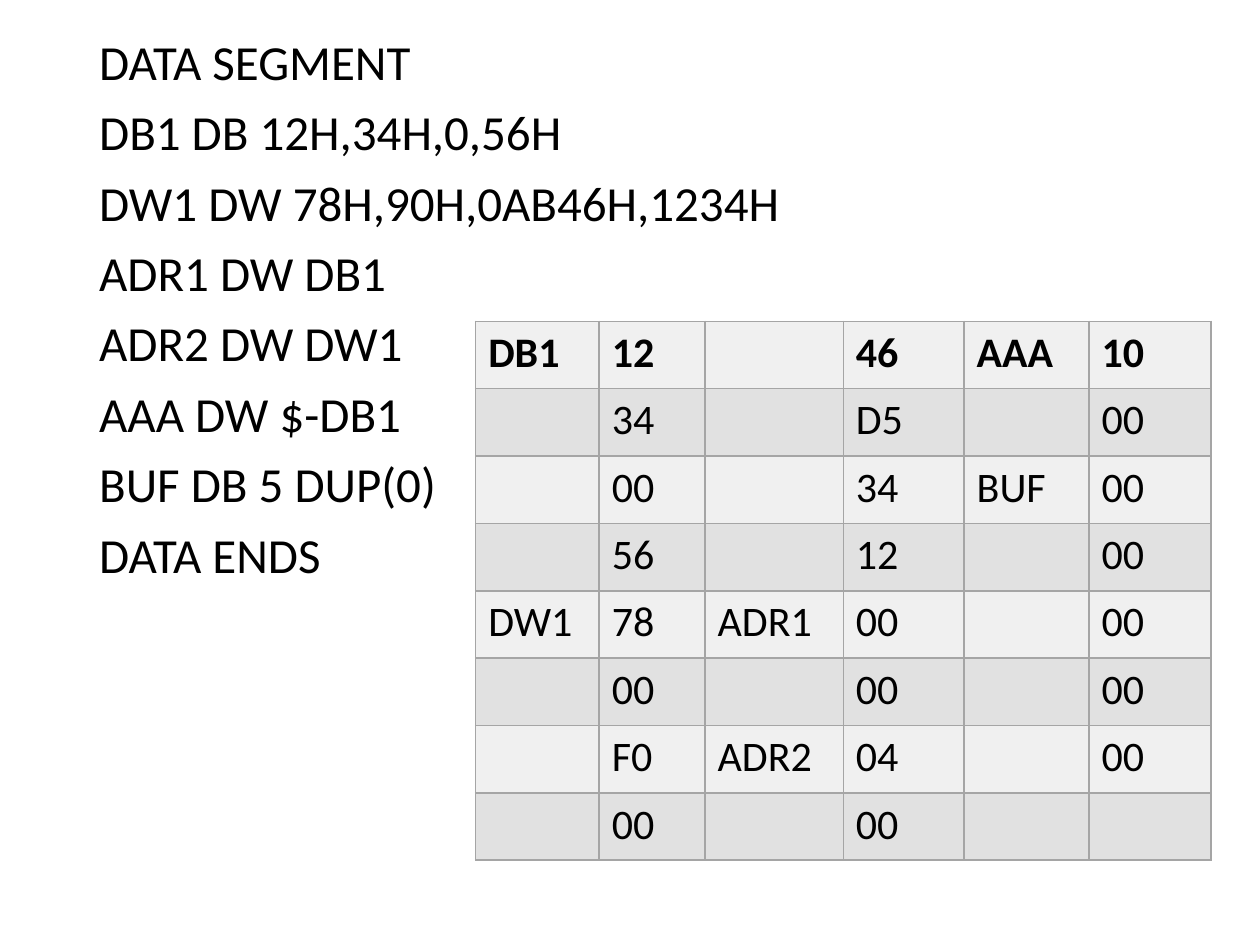
from lxml import etree
from pptx import Presentation
from pptx.dml.color import RGBColor
from pptx.enum.text import MSO_ANCHOR, MSO_AUTO_SIZE
from pptx.oxml.ns import qn
from pptx.util import Pt

TOP = MSO_ANCHOR.TOP
NO_AUTOFIT = MSO_AUTO_SIZE.NONE

# Content
CODE_LINES = [
    "DATA SEGMENT",
    "DB1 DB 12H,34H,0,56H",
    "DW1 DW 78H,90H,0AB46H,1234H",
    "ADR1 DW DB1",
    "ADR2 DW DW1",
    "AAA DW $-DB1",
    "BUF DB 5 DUP(0)",
    "DATA ENDS",
]
MEMORY_ROWS = [
    ("DB1", "12", "", "46", "AAA", "10"),
    ("", "34", "", "D5", "", "00"),
    ("", "00", "", "34", "BUF", "00"),
    ("", "56", "", "12", "", "00"),
    ("DW1", "78", "ADR1", "00", "", "00"),
    ("", "00", "", "00", "", "00"),
    ("", "F0", "ADR2", "04", "", "00"),
    ("", "00", "", "00", "", ""),
]

# Layout, in points
SLIDE_SIZE = (720, 540)
CODE_AREA = (49.5, 18, 621, 502)
TABLE_CORNER = (271.8, 183.6)
COLUMN_WIDTHS = (70.6, 60.5, 79, 69.1, 71.4, 69.8)
ROW_HEIGHT = 38.5


class Theme:
    font = "Calibri"
    text = RGBColor.from_string("000000")
    bands = [RGBColor.from_string(code) for code in ("F0F0F0", "E1E1E1")]
    border = "A5A5A5"
    border_width = 1
    code_size = 28
    cell_size = 24


def style_font(font, size, bold=False):
    font.name = Theme.font
    font.size = Pt(size)
    font.bold = bold
    font.color.rgb = Theme.text


def add_borders(cell):
    properties = cell._tc.get_or_add_tcPr()
    for side in ("lnL", "lnR", "lnT", "lnB"):
        line = etree.SubElement(properties, qn(f"a:{side}"), w=str(Pt(Theme.border_width)))
        fill = etree.SubElement(line, qn("a:solidFill"))
        etree.SubElement(fill, qn("a:srgbClr"), val=Theme.border)


def add_code(slide):
    box = slide.placeholders[1]
    box.left, box.top, box.width, box.height = map(Pt, CODE_AREA)
    frame = box.text_frame
    frame.auto_size = NO_AUTOFIT
    frame.vertical_anchor = TOP
    frame.text = "\n".join(CODE_LINES)
    for index, para in enumerate(frame.paragraphs):
        properties = para._p.get_or_add_pPr()
        properties.set("marL", "0")
        properties.set("indent", "0")
        etree.SubElement(properties, qn("a:buNone"))
        para.line_spacing = 0.9
        para.space_before = Pt(10 if index else 0)
        for span in para.runs:
            style_font(span.font, Theme.code_size)


def add_memory_table(slide):
    left, top = TABLE_CORNER
    row_count = len(MEMORY_ROWS)
    table = slide.shapes.add_table(
        row_count, len(COLUMN_WIDTHS), Pt(left), Pt(top),
        Pt(sum(COLUMN_WIDTHS)), Pt(ROW_HEIGHT * row_count)).table
    for column, width in zip(table.columns, COLUMN_WIDTHS):
        column.width = Pt(width)
    for row_index, values in enumerate(MEMORY_ROWS):
        table.rows[row_index].height = Pt(ROW_HEIGHT)
        for column_index, value in enumerate(values):
            cell = table.cell(row_index, column_index)
            add_borders(cell)
            cell.fill.solid()
            cell.fill.fore_color.rgb = Theme.bands[row_index % 2]
            cell.text = value
            para = cell.text_frame.paragraphs[0]
            for span in para.runs:
                style_font(span.font, Theme.cell_size, bold=row_index == 0)


def main():
    deck = Presentation()
    deck.slide_width, deck.slide_height = map(Pt, SLIDE_SIZE)
    page = deck.slides.add_slide(deck.slide_layouts.get_by_name("Title and Content"))

    # The page has a body but no title
    title = page.shapes.title.element
    title.getparent().remove(title)

    add_code(page)
    add_memory_table(page)
    deck.save("out.pptx")


if __name__ == "__main__":
    main()
